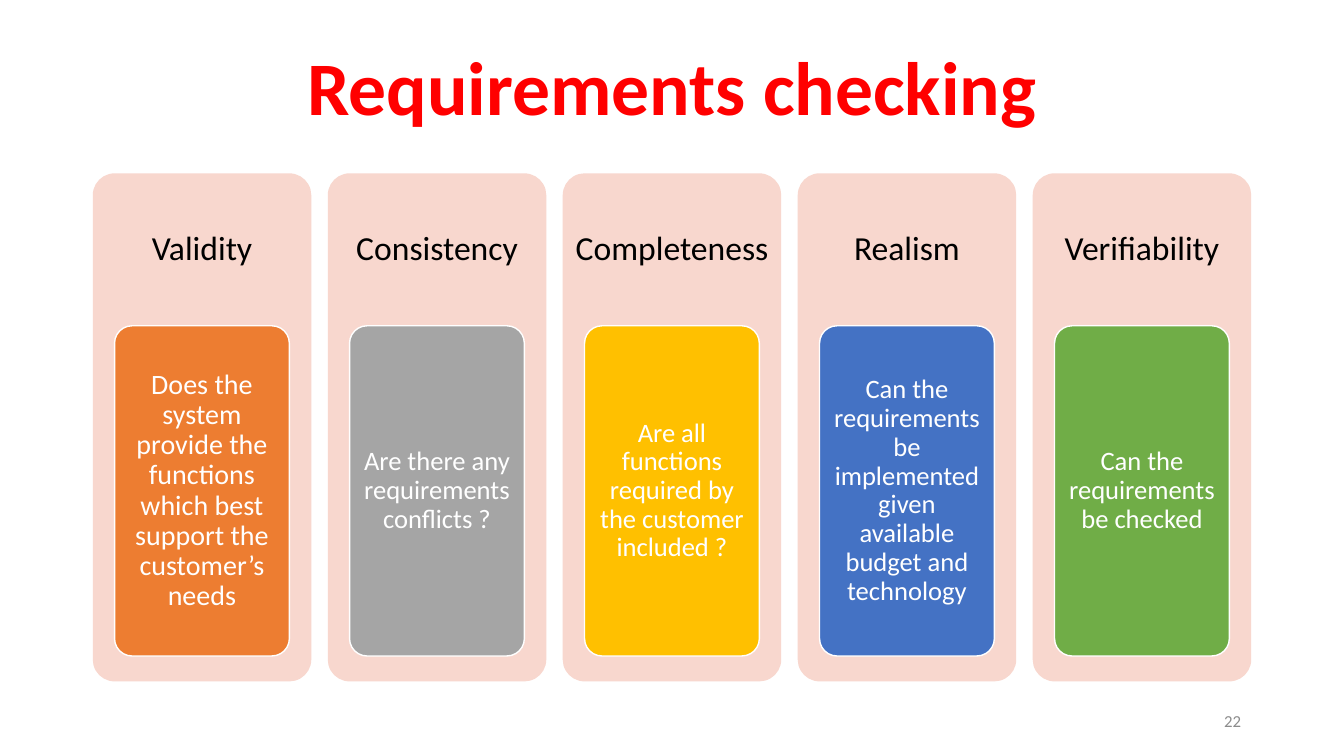
from dataclasses import dataclass

from pptx import Presentation
from pptx.dml.color import RGBColor
from pptx.enum.shapes import MSO_SHAPE as SHAPE
from pptx.enum.text import MSO_ANCHOR as ANCHOR, MSO_AUTO_SIZE as AUTO, PP_ALIGN as ALIGN
from pptx.util import Inches, Pt


@dataclass(frozen=True)
class Theme:
    """Colours, font and type sizes of the slide."""
    font: str = "Calibri"
    title: str = "FF0000"
    panel: str = "F8D7CE"
    heading: str = "000000"
    light: str = "FFFFFF"
    number: str = "8C8C8C"
    title_size: int = 54
    heading_size: int = 24
    first_size: int = 20
    question_size: int = 19
    number_size: int = 12


THEME = Theme()
WIDTH, HEIGHT = 13.33, 7.5
PANEL_SHARE, HEAD_SHARE, CARD_SHARE = 0.93, 0.3, 0.65
CHECKS = [
    ("Validity", "Does the system provide the functions which best support the customer’s needs",
     "ED7D31", THEME.first_size),
    ("Consistency", "Are there any requirements conflicts ?", "A5A5A5", THEME.question_size),
    ("Completeness", "Are all functions required by the customer included ?",
     "FFC000", THEME.question_size),
    ("Realism", "Can the requirements be implemented given available budget and technology",
     "4472C4", THEME.question_size),
    ("Verifiability", "Can the requirements be checked", "70AD47", THEME.question_size),
]


def write(sp, text, size, color, align=ALIGN.CENTER, bold=False, inset=0.05, spacing=0.9):
    """Write one middle-anchored paragraph into a shape."""
    tf = sp.text_frame
    tf.auto_size = AUTO.NONE
    tf.word_wrap = True
    tf.vertical_anchor = ANCHOR.MIDDLE
    tf.margin_left = tf.margin_right = Inches(inset)
    tf.margin_top = tf.margin_bottom = Inches(0.04)
    p = tf.paragraphs[0]
    p.alignment, p.line_spacing = align, spacing
    r = p.add_run()
    r.text = text
    r.font.name, r.font.size, r.font.bold = THEME.font, Pt(size), bold
    r.font.color.rgb = RGBColor.from_string(color)


def add_rounded(s, box, fill, line=None):
    """Add a flat rounded rectangle with an optional outline."""
    sp = s.shapes.add_shape(SHAPE.ROUNDED_RECTANGLE, *map(Inches, box))
    sp.adjustments[0] = 0.1
    sp.shadow.inherit = False
    sp.fill.solid()
    sp.fill.fore_color.rgb = RGBColor.from_string(fill)
    if line:
        sp.line.color.rgb = RGBColor.from_string(line)
        sp.line.width = Pt(1)
    else:
        sp.line.fill.background()
    return sp


def add_title(s, box, text):
    """Place and fill the title placeholder."""
    sp = s.shapes.title
    sp.left, sp.top, sp.width, sp.height = map(Inches, box)
    write(sp, text, THEME.title_size, THEME.title, bold=True, inset=0.1)


def add_check(s, box, heading, question, color, size):
    """Draw a panel with its heading above a coloured question card."""
    x, y, w, h = box
    add_rounded(s, box, THEME.panel)
    sp = s.shapes.add_textbox(*map(Inches, (x, y, w, h * HEAD_SHARE)))
    write(sp, heading, THEME.heading_size, THEME.heading, inset=0.1)
    card = (x + w * 0.1, y + h * HEAD_SHARE, w * 0.8, h * CARD_SHARE)
    write(add_rounded(s, card, color, THEME.light), question, size, THEME.light)


def add_checks(s, box, checks):
    """Spread the checks over equal columns of the box."""
    x, y, w, h = box
    pitch = w / (len(checks) - 1 + PANEL_SHARE)
    for i, check in enumerate(checks):
        add_check(s, (x + i * pitch, y, pitch * PANEL_SHARE, h), *check)


def add_number(s, box, text):
    """Add the slide number at the right of the box."""
    sp = s.shapes.add_textbox(*map(Inches, box))
    write(sp, text, THEME.number_size, THEME.number, ALIGN.RIGHT, inset=0.1, spacing=1.0)


def main():
    """Build and save the slide."""
    prs = Presentation()
    prs.slide_width, prs.slide_height = Inches(WIDTH), Inches(HEIGHT)
    s = prs.slides.add_slide(prs.slide_layouts[5])
    margin = 0.92
    body = WIDTH - 2 * margin
    add_title(s, (margin, 0.4, body, 1), "Requirements checking")
    add_checks(s, (margin, 1.72, body, 5.04), CHECKS)
    add_number(s, (WIDTH - margin - 3, 6.95, 3, 0.4), "22")
    prs.save("out.pptx")


if __name__ == "__main__":
    main()
